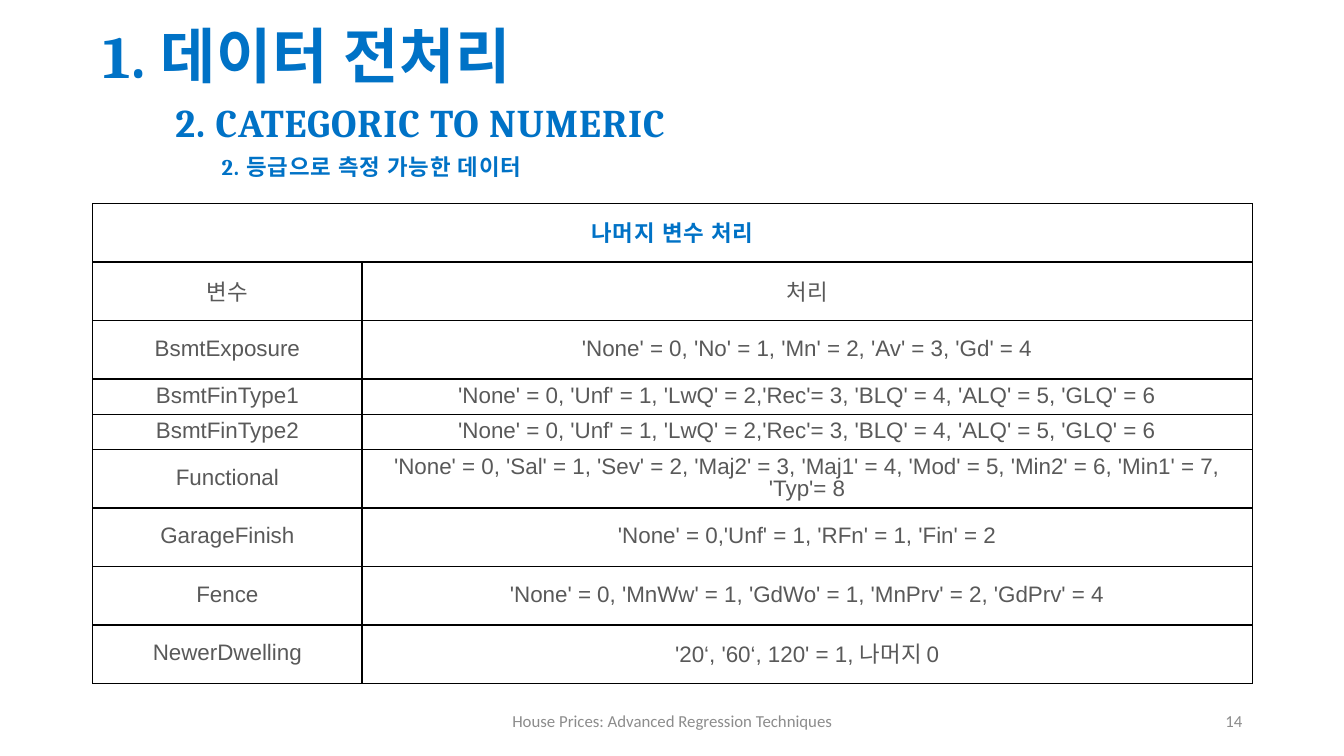
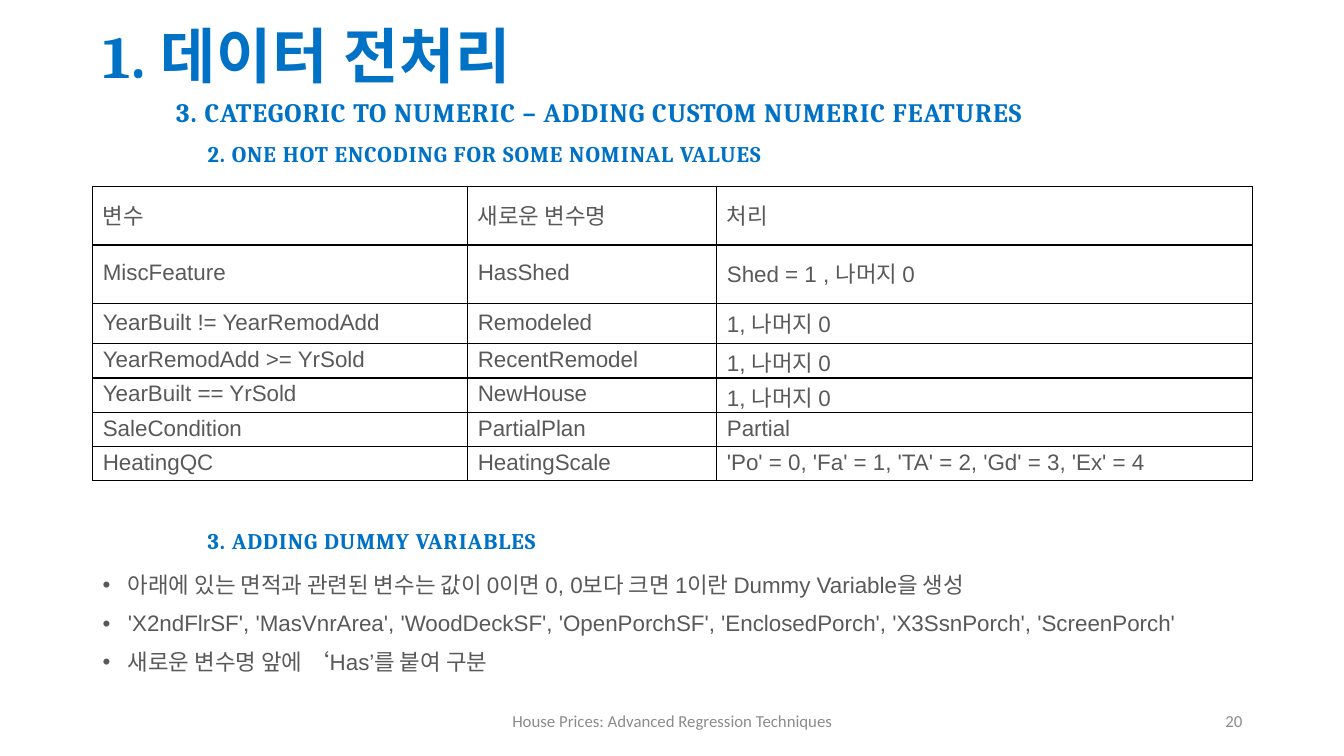
"""Build two slides on preparing house price data."""
from dataclasses import dataclass

from lxml import etree
from pptx import Presentation
from pptx.dml.color import RGBColor
from pptx.enum.text import MSO_ANCHOR, MSO_AUTO_SIZE, PP_ALIGN
from pptx.oxml.ns import qn
from pptx.presentation import Presentation as Deck
from pptx.slide import Slide
from pptx.text.text import TextFrame, _Paragraph
from pptx.util import Inches, Pt

LEFT, CENTER, RIGHT = PP_ALIGN.LEFT, PP_ALIGN.CENTER, PP_ALIGN.RIGHT
MIDDLE, TOP = MSO_ANCHOR.MIDDLE, MSO_ANCHOR.TOP
FIXED, GROW = MSO_AUTO_SIZE.NONE, MSO_AUTO_SIZE.SHAPE_TO_FIT_TEXT
TITLE_ONLY = 5
MARGIN, CONTENT_WIDTH = 0.92, 11.5


@dataclass(frozen=True)
class TextStyle:
    """Font, size and colour of a kind of text."""
    font: str
    size: float
    color: str
    bold: bool = False
    spacing: float = 0


@dataclass(frozen=True)
class Theme:
    """Type styles and line colour shared by the slides."""
    title: TextStyle = TextStyle("Cambria", 42.9, "0072C6", True, 0.7)
    section: TextStyle = TextStyle("Cambria", 28, "0072C6", True, 0.7)
    long_section: TextStyle = TextStyle("Cambria", 19, "0072C6", True, 0.7)
    topic: TextStyle = TextStyle("Cambria", 16, "0072C6", True, 0.7)
    body: TextStyle = TextStyle("Arial", 16, "595959")
    footer: TextStyle = TextStyle("Calibri", 12, "8C8C8C")
    rule: str = "000000"


@dataclass(frozen=True)
class Box:
    """Place and size in inches."""
    left: float
    top: float
    width: float
    height: float


@dataclass(frozen=True)
class Heading:
    """A numbered heading below the title."""
    text: str
    box: Box
    style: TextStyle


@dataclass(frozen=True)
class Grid:
    """A ruled table with an optional banner across its first row."""
    top: float
    columns: tuple[float, ...]
    heights: tuple[float, ...]
    rows: tuple[tuple[str, ...], ...]
    align: PP_ALIGN
    banner: str = ""


@dataclass(frozen=True)
class Page:
    """Everything that differs from slide to slide."""
    number: int
    headings: tuple[Heading, ...]
    grid: Grid
    bullets: tuple[str, ...] = ()


THEME = Theme()
TITLE = "1. 데이터 전처리"
FOOTER = "House Prices: Advanced Regression Techniques"
TITLE_BOX = Box(MARGIN, 0.24, CONTENT_WIDTH, 0.74)
FOOTER_BOX = Box(4.42, 6.95, 4.5, 0.4)
NUMBER_BOX = Box(9.42, 6.95, 3, 0.4)
BULLET_BOX = Box(MARGIN, 5.65, 11.75, 1.41)
BASEMENT_SCALE = "'None' = 0, 'Unf' = 1, 'LwQ' = 2,'Rec'= 3, 'BLQ' = 4, 'ALQ' = 5, 'GLQ' = 6"
FLAG = "1, 나머지 0"

PAGES = (
    Page(
        14,
        (
            Heading("2. CATEGORIC TO NUMERIC", Box(1.64, 0.93, 10.45, 0.57), THEME.section),
            Heading("2. 등급으로 측정 가능한 데이터", Box(2.1, 1.47, 10.45, 0.37), THEME.topic),
        ),
        Grid(
            2.02, (2.67, 8.83), (0.58,) * 3 + (0.35,) * 2 + (0.58,) * 4,
            (
                ("변수", "처리"),
                ("BsmtExposure", "'None' = 0, 'No' = 1, 'Mn' = 2, 'Av' = 3, 'Gd' = 4"),
                ("BsmtFinType1", BASEMENT_SCALE),
                ("BsmtFinType2", BASEMENT_SCALE),
                ("Functional", "'None' = 0, 'Sal' = 1, 'Sev' = 2, 'Maj2' = 3, 'Maj1' = 4, "
                               "'Mod' = 5, 'Min2' = 6, 'Min1' = 7, 'Typ'= 8"),
                ("GarageFinish", "'None' = 0,'Unf' = 1, 'RFn' = 1, 'Fin' = 2"),
                ("Fence", "'None' = 0, 'MnWw' = 1, 'GdWo' = 1, 'MnPrv' = 2, 'GdPrv' = 4"),
                ("NewerDwelling", "'20‘, '60‘, 120' = 1, 나머지 0"),
            ),
            CENTER, "나머지 변수 처리",
        ),
    ),
    Page(
        20,
        (
            Heading("3. CATEGORIC TO NUMERIC – ADDING CUSTOM NUMERIC FEATURES",
                    Box(1.65, 0.9, 11.14, 0.42), THEME.long_section),
            Heading("2. ONE HOT ENCODING FOR SOME NOMINAL VALUES",
                    Box(1.96, 1.34, 10.45, 0.37), THEME.topic),
            Heading("3. ADDING DUMMY VARIABLES", Box(1.96, 5.18, 10.45, 0.37), THEME.topic),
        ),
        Grid(
            1.85, (3.72, 2.47, 5.31), (0.58,) * 2 + (0.4,) + (0.3,) * 4,
            (
                ("변수", "새로운 변수명", "처리"),
                ("MiscFeature", "HasShed", "Shed = 1 , 나머지 0"),
                ("YearBuilt != YearRemodAdd", "Remodeled", FLAG),
                ("YearRemodAdd >= YrSold", "RecentRemodel", FLAG),
                ("YearBuilt == YrSold", "NewHouse", FLAG),
                ("SaleCondition", "PartialPlan", "Partial"),
                ("HeatingQC", "HeatingScale", "'Po' = 0, 'Fa' = 1, 'TA' = 2, 'Gd' = 3, 'Ex' = 4"),
            ),
            LEFT,
        ),
        (
            "아래에 있는 면적과 관련된 변수는 값이 0이면 0, 0보다 크면 1이란 Dummy Variable을 생성",
            "'X2ndFlrSF', 'MasVnrArea', 'WoodDeckSF', 'OpenPorchSF', 'EnclosedPorch', "
            "'X3SsnPorch', 'ScreenPorch'",
            "새로운 변수명 앞에 ‘Has’를 붙여 구분",
        ),
    ),
)


def bounds(box: Box) -> tuple[Inches, ...]:
    """Return a box as lengths."""
    return tuple(Inches(v) for v in (box.left, box.top, box.width, box.height))


def format_paragraph(paragraph: _Paragraph, style: TextStyle, align: PP_ALIGN = LEFT) -> None:
    """Apply a text style to every run of a paragraph."""
    paragraph.alignment = align
    for run in paragraph.runs:
        run.font.name = style.font
        run.font.size = Pt(style.size)
        run.font.bold = style.bold
        run.font.color.rgb = RGBColor.from_string(style.color)
        if style.spacing:
            run._r.get_or_add_rPr().set("spc", str(round(style.spacing * 100)))


def set_leading(paragraph: _Paragraph) -> None:
    """Give body text its line and paragraph spacing."""
    paragraph.line_spacing = 0.9
    paragraph.space_before = Pt(10)


def add_text(slide: Slide, text: str, box: Box, style: TextStyle, align: PP_ALIGN = LEFT,
             anchor: MSO_ANCHOR = TOP) -> TextFrame:
    """Add a wrapping text box, one paragraph per line."""
    frame = slide.shapes.add_textbox(*bounds(box)).text_frame
    frame.word_wrap = True
    frame.auto_size = GROW if anchor == TOP else FIXED
    frame.vertical_anchor = anchor
    frame.text = text
    for paragraph in frame.paragraphs:
        format_paragraph(paragraph, style, align)
    return frame


def set_title(slide: Slide) -> None:
    """Place and format the title."""
    title = slide.shapes.title
    title.left, title.top, title.width, title.height = bounds(TITLE_BOX)
    frame = title.text_frame
    frame.auto_size = FIXED
    frame.word_wrap = True
    frame.vertical_anchor = MIDDLE
    frame.text = TITLE
    paragraph = frame.paragraphs[0]
    format_paragraph(paragraph, THEME.title)
    paragraph.line_spacing = 0.8
    paragraph.space_before = Pt(8)
    paragraph.space_after = Pt(10)


def add_bullets(slide: Slide, bullets: tuple[str, ...]) -> None:
    """Add the bulleted notes below the table."""
    frame = add_text(slide, "\n".join(bullets), BULLET_BOX, THEME.body)
    for paragraph in frame.paragraphs:
        set_leading(paragraph)
        properties = paragraph._p.get_or_add_pPr()
        properties.set("marL", str(Inches(0.25)))
        properties.set("indent", str(Inches(-0.25)))
        font = etree.SubElement(properties, qn("a:buFont"))
        font.set("typeface", THEME.body.font)
        etree.SubElement(properties, qn("a:buChar")).set("char", "•")


def add_grid(slide: Slide, grid: Grid) -> None:
    """Draw a table with thin rules around each cell."""
    rows = grid.rows
    if grid.banner:
        rows = ((grid.banner,) + ("",) * (len(grid.columns) - 1),) + rows
    box = Box(MARGIN, grid.top, CONTENT_WIDTH, sum(grid.heights))
    table = slide.shapes.add_table(len(rows), len(grid.columns), *bounds(box)).table
    table.first_row = table.horz_banding = False
    for column, width in zip(table.columns, grid.columns):
        column.width = Inches(width)
    for row, height in zip(table.rows, grid.heights):
        row.height = Inches(height)
    if grid.banner:
        table.cell(0, 0).merge(table.cell(0, len(grid.columns) - 1))
    for row_index, row in enumerate(rows):
        is_banner = bool(grid.banner) and row_index == 0
        for column_index, text in enumerate(row):
            cell = table.cell(row_index, column_index)
            properties = cell._tc.get_or_add_tcPr()
            for side in ("lnL", "lnR", "lnT", "lnB"):
                line = etree.SubElement(properties, qn(f"a:{side}"), w=str(Pt(1)))
                fill = etree.SubElement(line, qn("a:solidFill"))
                etree.SubElement(fill, qn("a:srgbClr"), val=THEME.rule)
            cell.fill.background()
            cell.vertical_anchor = MIDDLE
            if not cell.is_spanned:
                cell.text = text
                paragraph = cell.text_frame.paragraphs[0]
                format_paragraph(paragraph, THEME.topic if is_banner else THEME.body, grid.align)
                set_leading(paragraph)


def add_page(deck: Deck, page: Page) -> None:
    """Build one slide."""
    slide = deck.slides.add_slide(deck.slide_layouts[TITLE_ONLY])
    set_title(slide)
    for heading in page.headings:
        add_text(slide, heading.text, heading.box, heading.style)
    add_grid(slide, page.grid)
    if page.bullets:
        add_bullets(slide, page.bullets)
    add_text(slide, FOOTER, FOOTER_BOX, THEME.footer, CENTER, MIDDLE)
    add_text(slide, str(page.number), NUMBER_BOX, THEME.footer, RIGHT, MIDDLE)


def main() -> None:
    """Build and save the deck."""
    deck = Presentation()
    deck.slide_width, deck.slide_height = Inches(13.33), Inches(7.5)
    for page in PAGES:
        add_page(deck, page)
    deck.save("out.pptx")


if __name__ == "__main__":
    main()
